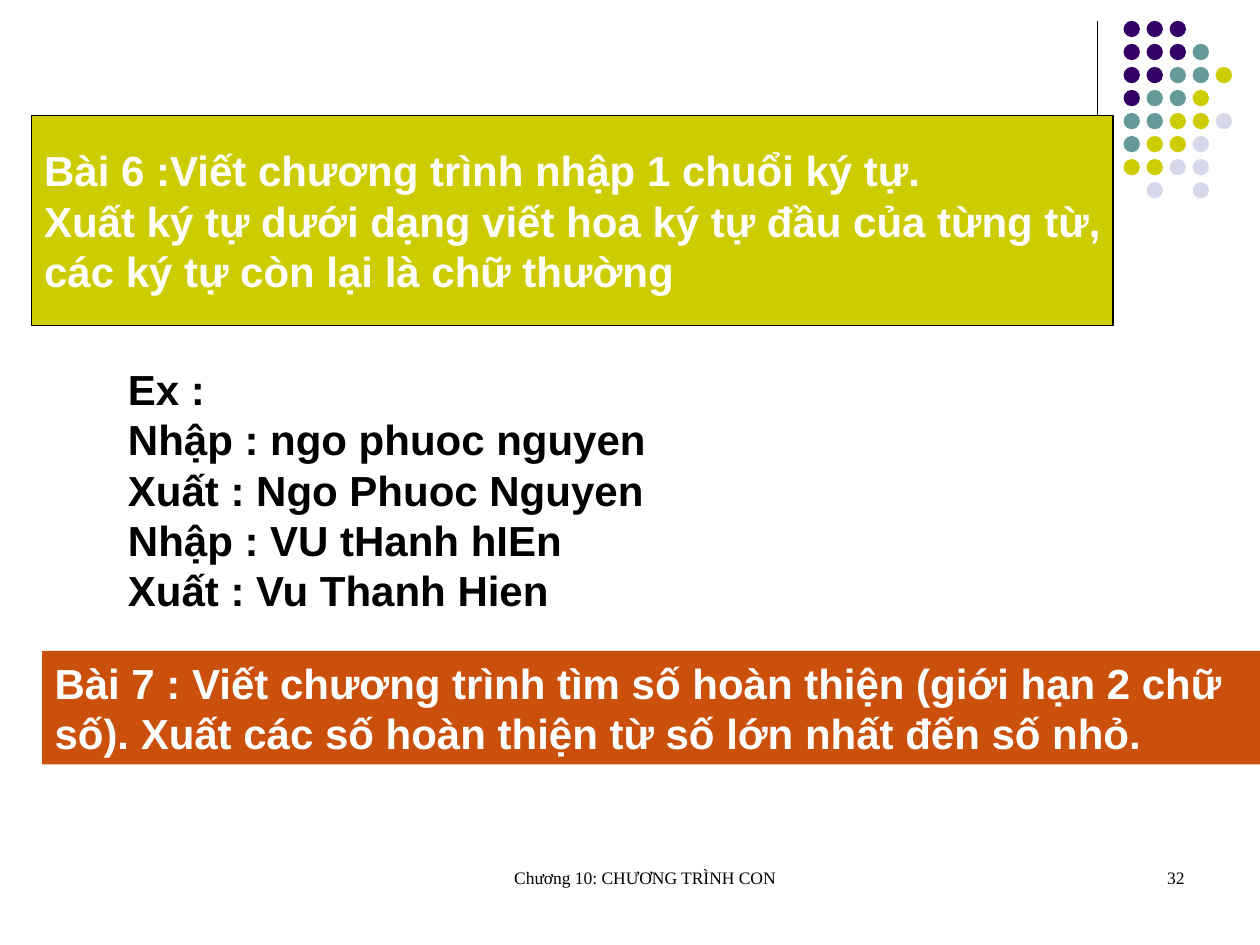
from lxml.etree import SubElement
from pptx import Presentation
from pptx.dml.color import RGBColor
from pptx.enum.shapes import MSO_CONNECTOR, MSO_SHAPE
from pptx.enum.text import MSO_ANCHOR, PP_ALIGN
from pptx.oxml.ns import qn
from pptx.util import Cm, Pt

DOTS = ["PPP", "PPPT", "PPTTY", "PTTY", "TTYYL", "TYYL", "YYLL", " L L"]
HUES = {"P": "330066", "T": "669999", "Y": "CCCC00", "L": "D8D8EC"}
STEP = 3.25 / 7
TASK = ("Bài 6 :Viết chương trình nhập 1 chuổi ký tự.\n"
        "Xuất ký tự dưới dạng viết hoa ký tự đầu của từng từ,\n"
        "các ký tự còn lại là chữ thường")
DEMO = ("Ex :\nNhập : ngo phuoc nguyen\nXuất : Ngo Phuoc Nguyen\n"
        "Nhập : VU tHanh hIEn\nXuất : Vu Thanh Hien")
NEXT = ("Bài 7 : Viết chương trình tìm số hoàn thiện (giới hạn 2 chữ số). "
        "Xuất các số hoàn thiện từ số lớn nhất đến số nhỏ.")


def tint(code):
    """Turn a hex string into a colour."""
    return RGBColor.from_string(code)


def write(shape, text, size=24, face="Arial", hue="000000", bold=True,
          align=PP_ALIGN.LEFT, anchor=MSO_ANCHOR.TOP, wrap=True, dent=0):
    """Put formatted text into a shape."""
    frame = shape.text_frame
    frame.word_wrap = wrap
    frame.vertical_anchor = anchor
    para = frame.paragraphs[0]
    para.text = text
    para.alignment = align
    if dent:
        para._p.get_or_add_pPr().set("marL", str(Cm(dent)))
    for run in para.runs:
        font = run.font
        font.size, font.name, font.bold = Pt(size), face, bold
        font.color.rgb = tint(hue)


def label(slide, box, text, **form):
    """Add a text box."""
    write(slide.shapes.add_textbox(*map(Cm, box)), text, **form)


def block(home, kind, box, fill, line=None):
    """Add a filled shape to a slide or group."""
    shape = home.shapes.add_shape(kind, *map(Cm, box))
    shape.shadow.inherit = False
    shape.fill.solid()
    shape.fill.fore_color.rgb = tint(fill)
    if line:
        shape.line.color.rgb = tint(line)
        shape.line.width = Pt(0.75)
    else:
        shape.line.fill.background()
    return shape


def rule(slide, *ends):
    """Draw a thin black line."""
    line = slide.shapes.add_connector(MSO_CONNECTOR.STRAIGHT, *map(Cm, ends))
    line.line.color.rgb = tint("000000")
    line.line.width = Pt(0.75)
    SubElement(line._element.spPr, qn("a:effectLst"))


def dots(slide):
    """Draw the corner grid of dots."""
    group = slide.shapes.add_group_shape()
    for row, keys in enumerate(DOTS):
        for col, key in enumerate(keys):
            if key in HUES:
                box = (22.65 + col * STEP, 0.42 + row * STEP, 0.33, 0.33)
                block(group, MSO_SHAPE.OVAL, box, HUES[key])


def main():
    """Build and save the slide."""
    deck = Presentation()
    deck.slide_width, deck.slide_height = Cm(25.4), Cm(19.05)
    slide = deck.slides.add_slide(deck.slide_layouts[6])
    rule(slide, 22.12, 0.42, 22.12, 4.66)
    dots(slide)
    task = block(slide, MSO_SHAPE.FLOWCHART_PROCESS,
                 (0.64, 2.33, 21.8, 4.23), "CCCC00", "000000")
    write(task, TASK, hue="FFFFFF", anchor=MSO_ANCHOR.MIDDLE, wrap=False)
    label(slide, (2.33, 7.2, 17.78, 5.33), DEMO)
    band = block(slide, MSO_SHAPE.RECTANGLE, (0.85, 13.12, 24.55, 2.29), "CB500B")
    write(band, NEXT, hue="FFFFFF")
    foot = {"size": 10, "face": "Times New Roman", "bold": False, "dent": 0.6}
    label(slide, (8.68, 17.36, 8.04, 1.27), "Chương 10: CHƯƠNG TRÌNH CON",
          align=PP_ALIGN.CENTER, **foot)
    label(slide, (18.2, 17.36, 5.93, 1.27), "32", align=PP_ALIGN.RIGHT, **foot)
    deck.save("out.pptx")


if __name__ == "__main__":
    main()
